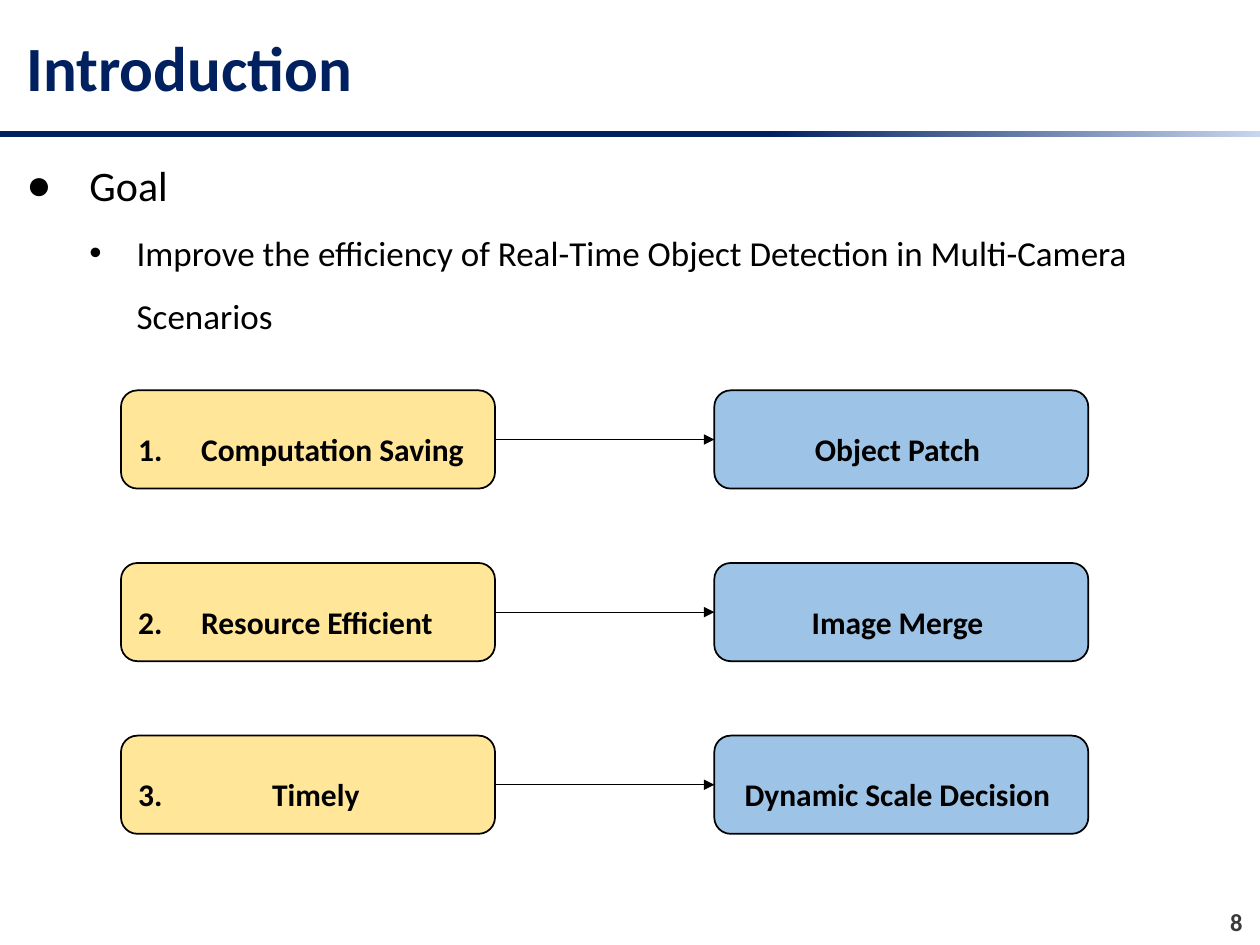
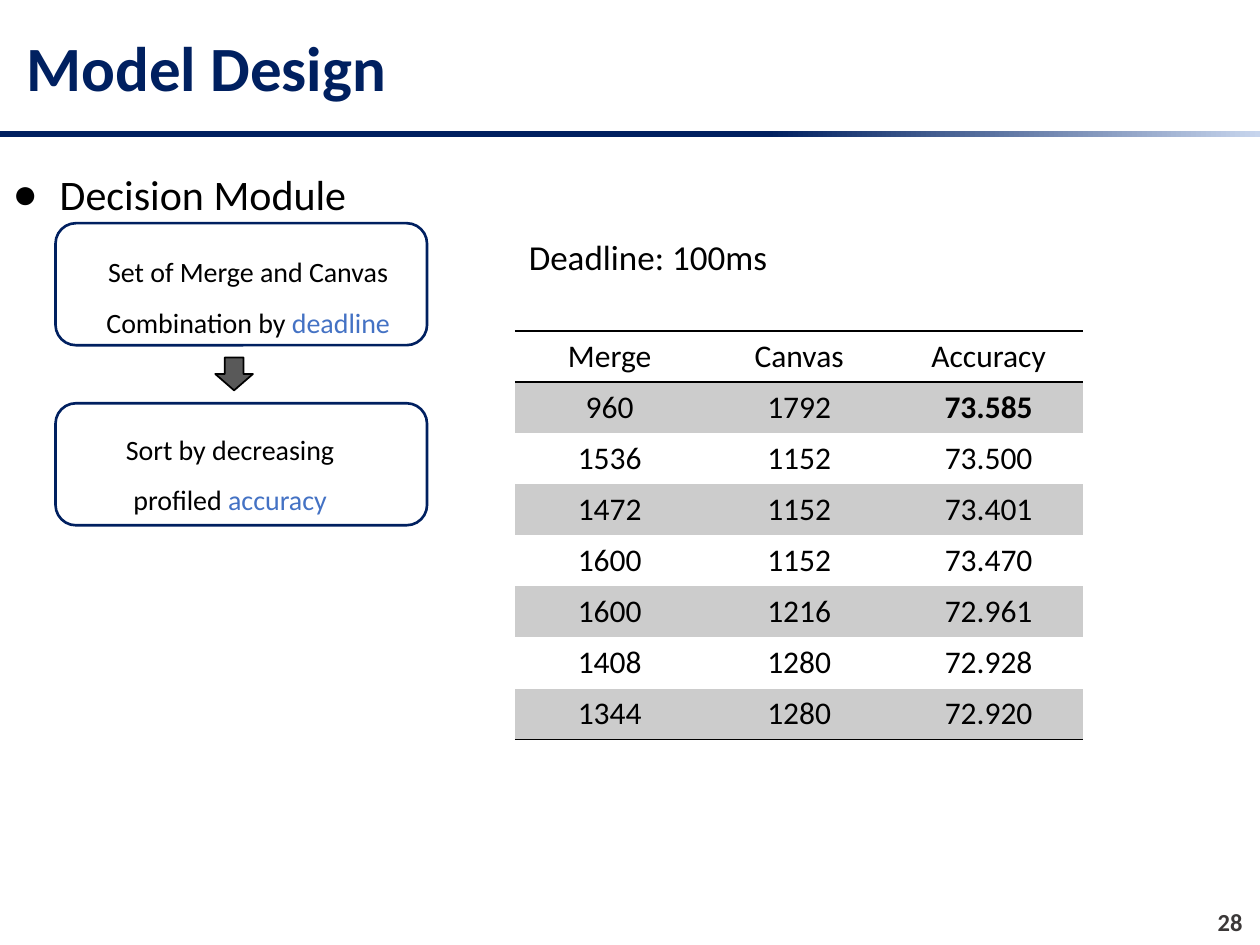
from dataclasses import dataclass

from lxml import etree
from pptx import Presentation
from pptx.dml.color import RGBColor
from pptx.enum import shapes, text
from pptx.oxml.ns import qn
from pptx.util import Cm, Pt


@dataclass(frozen=True)
class Theme:
    font: str = "Calibri"
    navy: str = "002060"
    pale: str = "C7D5ED"
    black: str = "000000"
    white: str = "FFFFFF"
    number: str = "3B3838"
    goal: str = "FFE699"
    method: str = "9DC3E6"
    accent: str = "4472C4"
    arrow: str = "595959"
    stripe: str = "CCCCCC"
    title_size: int = 36
    heading_size: int = 24
    body_size: int = 20
    label_size: int = 18
    step_size: int = 16
    number_size: int = 14


THEME = Theme()
LEFT, CENTER, RIGHT = text.PP_ALIGN.LEFT, text.PP_ALIGN.CENTER, text.PP_ALIGN.RIGHT
PLAIN_TABLE = "{2D5ABB26-0587-4C30-8999-92F81FD0307C}"

INTRODUCTION = {
    "title": "Introduction",
    "number": "8",
    "points": [
        ("Goal", 0),
        ("Improve the efficiency of Real-Time Object Detection in Multi-Camera Scenarios", 1),
    ],
}
# goal, indent of its text in cm, method that reaches it
GOALS = [
    ("Computation Saving", 1.27, "Object Patch"),
    ("Resource Efficient", 1.27, "Image Merge"),
    ("Timely", 2.7, "Dynamic Scale Decision"),
]

MODEL_DESIGN = {"title": "Model Design", "number": "28", "points": [("Decision Module", 0)]}
# top of the step, its (left, top, right) insets in cm, paragraphs of (text, colour) spans
STEPS = [
    (4.5, (0.74, 0.18, 0.46), [
        [("Set of Merge and Canvas", THEME.black)],
        [("Combination by ", THEME.black), ("deadline", THEME.accent)],
    ]),
    (8.13, (0.46, 0.13, 0.91), [
        [("Sort by decreasing profiled ", THEME.black), ("accuracy", THEME.accent)],
    ]),
]
DEADLINE = "Deadline: 100ms"
PROFILE = [
    ("Merge", "Canvas", "Accuracy"),
    ("960", "1792", "73.585"),
    ("1536", "1152", "73.500"),
    ("1472", "1152", "73.401"),
    ("1600", "1152", "73.470"),
    ("1600", "1216", "72.961"),
    ("1408", "1280", "72.928"),
    ("1344", "1280", "72.920"),
]
BEST = "73.585"


def rgb(color):
    return RGBColor.from_string(color)


def add_marker(para, indent, hang, tag, **attributes):
    """Give a paragraph a hanging bullet or number."""
    properties = para._p.get_or_add_pPr()
    properties.set("marL", str(Cm(indent)))
    properties.set("indent", str(-Cm(hang)))
    if tag == "a:buChar":
        etree.SubElement(properties, qn("a:buFont"), typeface="Arial")
    etree.SubElement(properties, qn(tag), **attributes)


def write(frame, content, size, color=THEME.black, bold=False, align=LEFT,
          spacing=1.0, level=0, marker=None):
    """Add one paragraph; content is a string or a list of (text, colour) spans."""
    para = frame.paragraphs[0]
    if para.runs:
        para = frame.add_paragraph()
    if marker:
        add_marker(para, **marker)
    para.level = level
    para.alignment = align
    para.line_spacing = spacing
    para.space_before = Pt(0)
    for words, tint in [(content, color)] if isinstance(content, str) else content:
        span = para.add_run()
        span.text = words
        span.font.name = THEME.font
        span.font.size = Pt(size)
        span.font.bold = bold
        span.font.color.rgb = rgb(tint)


def place(box, left, top, width, height):
    box.left, box.top, box.width, box.height = map(Cm, (left, top, width, height))


def prepare(frame, anchor=text.MSO_ANCHOR.TOP):
    frame.word_wrap = True
    frame.auto_size = text.MSO_AUTO_SIZE.NONE
    frame.vertical_anchor = anchor
    return frame


def add_text(page, at, content, size, **style):
    box = page.shapes.add_textbox(*map(Cm, at))
    write(prepare(box.text_frame), content, size, **style)


def add_shape(page, kind, at, fill, line=None, weight=1):
    box = page.shapes.add_shape(kind, *map(Cm, at))
    box.shadow.inherit = False
    box.fill.solid()
    box.fill.fore_color.rgb = rgb(fill)
    if line:
        box.line.color.rgb = rgb(line)
        box.line.width = Pt(weight)
    else:
        box.line.fill.background()
    return box


def add_arrow(page, start, end):
    """Join the right side of one box to the left side of another."""
    arrow = page.shapes.add_connector(shapes.MSO_CONNECTOR.STRAIGHT, 0, 0, 0, 0)
    arrow.begin_connect(start, 3)
    arrow.end_connect(end, 1)
    arrow.line.color.rgb = rgb(THEME.black)
    arrow.line.width = Pt(0.5)
    etree.SubElement(arrow.line._get_or_add_ln(), qn("a:tailEnd"), type="triangle")
    etree.SubElement(arrow.element.spPr, qn("a:effectLst"))


def add_page(deck, content, body_at):
    page = deck.slides.add_slide(deck.slide_layouts[1])
    band = add_shape(page, shapes.MSO_SHAPE.RECTANGLE, (0, 2.64, 25.4, 0.13), THEME.navy)
    band.fill.gradient()
    band.fill.gradient_angle = 0
    for stop, position, color in zip(band.fill.gradient_stops, (0.61, 1), (THEME.navy, THEME.pale)):
        stop.position = position
        stop.color.rgb = rgb(color)

    title = page.shapes.title
    place(title, 0.28, 0.33, 24.1, 2.03)
    write(prepare(title.text_frame, text.MSO_ANCHOR.MIDDLE), content["title"],
          THEME.title_size, color=THEME.navy, bold=True)

    body = page.placeholders[1]
    place(body, *body_at)
    frame = prepare(body.text_frame)
    hang = 1.27 if len(content["points"]) > 1 else 0.95
    levels = [
        (THEME.heading_size, dict(indent=hang, hang=hang, tag="a:buChar", char="●")),
        (THEME.body_size, dict(indent=2.22, hang=0.95, tag="a:buChar", char="•")),
    ]
    for words, level in content["points"]:
        size, marker = levels[level]
        write(frame, words, size, spacing=1.5, level=level, marker=marker)

    add_text(page, (24.23, 18.16, 1.07, 0.76), content["number"], THEME.number_size,
             color=THEME.number, bold=True, align=RIGHT)
    return page


def build_introduction(deck):
    page = add_page(deck, INTRODUCTION, (0.28, 2.59, 25.02, 4.22))
    width, height, top, pitch = 7.54, 1.98, 7.87, 3.48
    label = dict(size=THEME.label_size, bold=True, spacing=1.5)
    for row, (goal, indent, method) in enumerate(GOALS):
        goal_box, method_box = [
            add_shape(page, shapes.MSO_SHAPE.ROUNDED_RECTANGLE,
                      (left, top + row * pitch, width, height), fill, THEME.black)
            for left, fill in ((2.44, THEME.goal), (14.4, THEME.method))
        ]
        number = dict(indent=indent, hang=indent, tag="a:buAutoNum",
                      type="arabicPeriod", startAt=str(row + 1))
        write(prepare(goal_box.text_frame, text.MSO_ANCHOR.MIDDLE), goal, marker=number, **label)
        method_box.text_frame.margin_right = Cm(0.4)
        write(prepare(method_box.text_frame, text.MSO_ANCHOR.MIDDLE), method, align=CENTER, **label)
        add_arrow(page, goal_box, method_box)


def add_border(cell, side):
    line = etree.SubElement(cell._tc.get_or_add_tcPr(), qn(f"a:{side}"), w=str(Pt(1)))
    fill = etree.SubElement(line, qn("a:solidFill"))
    etree.SubElement(fill, qn("a:srgbClr"), val=THEME.black)


def add_profile_table(page, left, top, column_width, row_height):
    rows, columns = len(PROFILE), len(PROFILE[0])
    holder = page.shapes.add_table(rows, columns, Cm(left), Cm(top),
                                   Cm(column_width * columns), Cm(row_height * rows))
    holder.element.find(".//" + qn("a:tableStyleId")).text = PLAIN_TABLE
    table = holder.table
    table.first_row = table.horz_banding = False
    for column in table.columns:
        column.width = Cm(column_width)
    for index, values in enumerate(PROFILE):
        table.rows[index].height = Cm(row_height)
        for cell, value in zip(table.rows[index].cells, values):
            if index == 0:
                add_border(cell, "lnT")
            if index in (0, rows - 1):
                add_border(cell, "lnB")
            if index % 2:
                cell.fill.solid()
                cell.fill.fore_color.rgb = rgb(THEME.stripe)
            else:
                cell.fill.background()
            cell.margin_top = cell.margin_bottom = Cm(0.02)
            cell.vertical_anchor = text.MSO_ANCHOR.MIDDLE
            write(cell.text_frame, value, THEME.label_size, bold=value == BEST, align=CENTER)


def build_model_design(deck):
    page = add_page(deck, MODEL_DESIGN, (0, 2.77, 25.3, 1.63))
    for top, insets, paragraphs in STEPS:
        step = add_shape(page, shapes.MSO_SHAPE.ROUNDED_RECTANGLE, (1.12, top, 7.49, 2.46),
                         THEME.white, THEME.navy, 1.5)
        frame = prepare(step.text_frame)
        frame.margin_left, frame.margin_top, frame.margin_right = map(Cm, insets)
        for spans in paragraphs:
            write(frame, spans, THEME.step_size, align=CENTER, spacing=1.5)
    add_shape(page, shapes.MSO_SHAPE.DOWN_ARROW, (4.34, 7.21, 0.76, 0.66), THEME.arrow, THEME.black)
    add_text(page, (9.85, 4.62, 6.43, 1.12), DEADLINE, THEME.body_size, align=CENTER)
    add_profile_table(page, 10.38, 6.67, 3.82, 1.03)


def main():
    deck = Presentation()
    deck.slide_width, deck.slide_height = Cm(25.4), Cm(19.05)
    build_introduction(deck)
    build_model_design(deck)
    deck.save("out.pptx")


if __name__ == "__main__":
    main()
